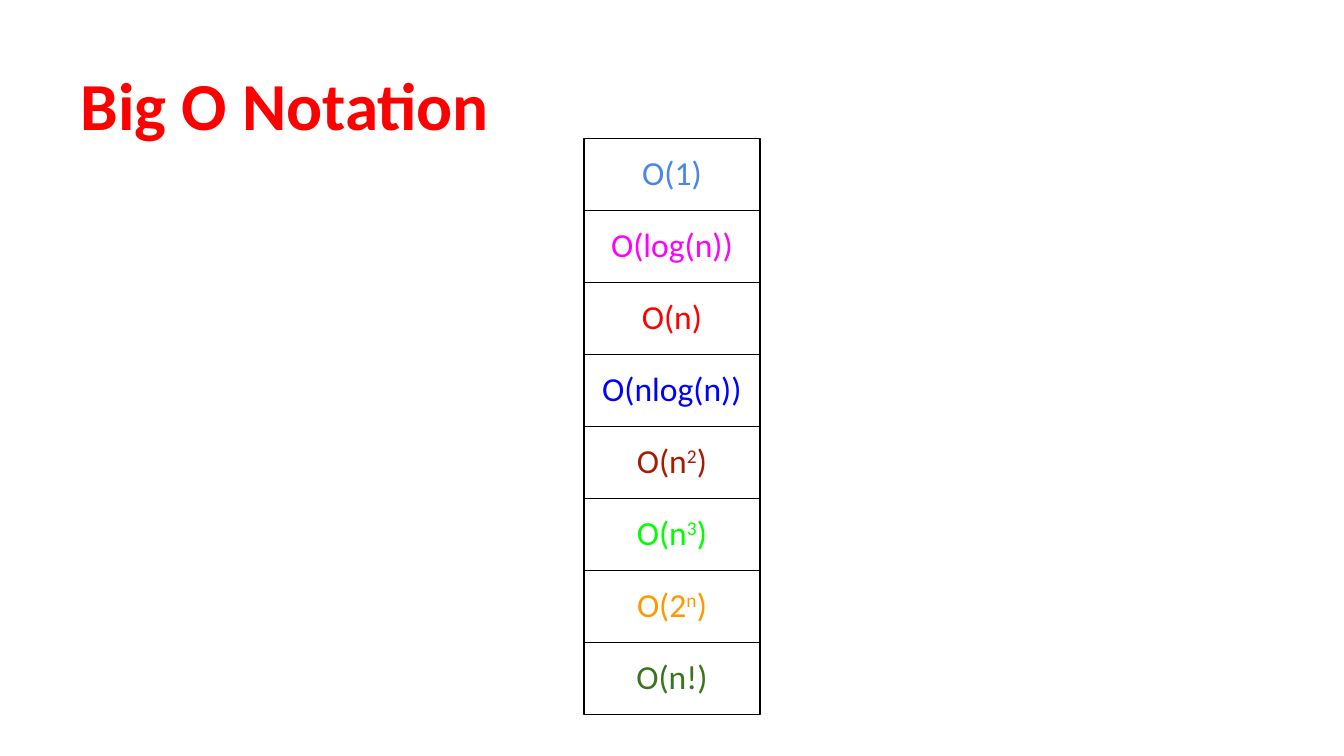
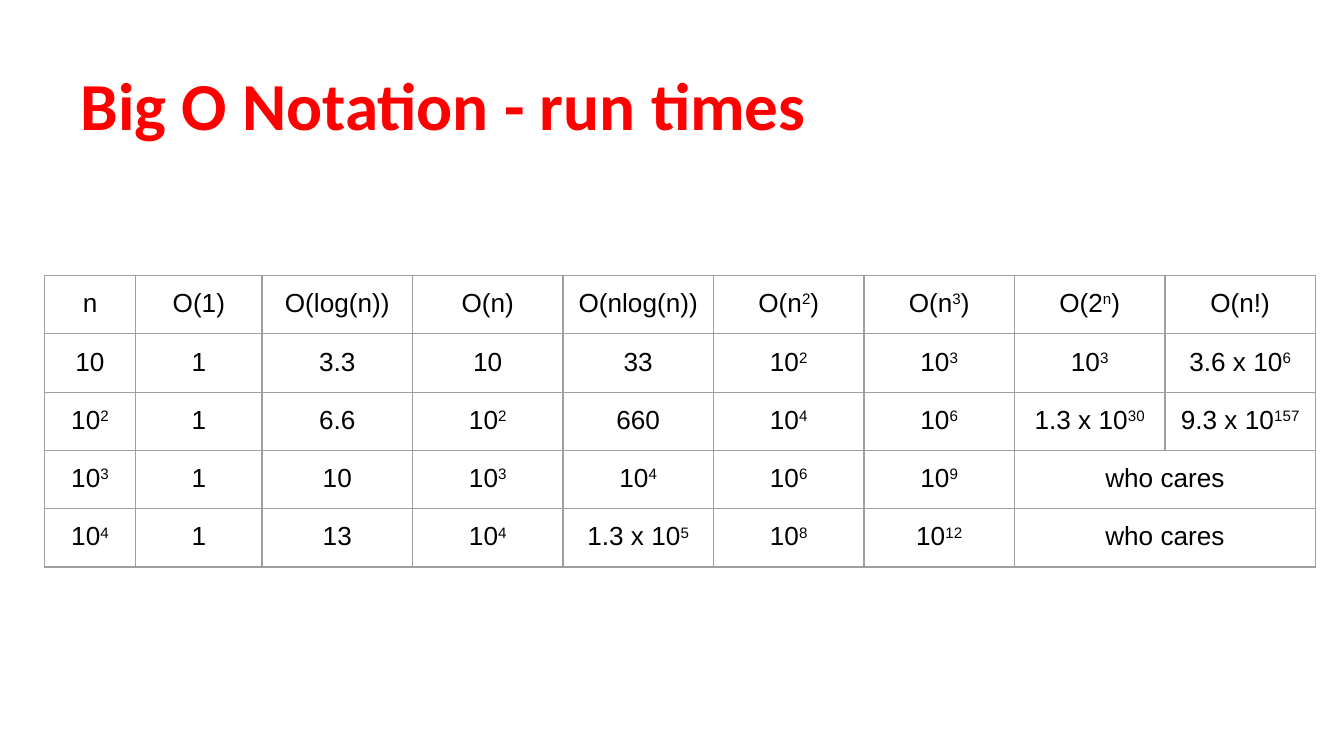
from lxml.etree import SubElement
from pptx import Presentation
from pptx.dml.color import RGBColor
from pptx.enum.shapes import MSO_SHAPE
from pptx.enum.text import MSO_ANCHOR, PP_ALIGN
from pptx.oxml.ns import qn
from pptx.util import Inches, Pt

COLORS = {
    "title": "FF0000", "text": "000000", "box line": "000000", "grid": "9E9E9E",
    "sky": "4A86E8", "magenta": "FF00FF", "red": "FF0000", "blue": "0000FF",
    "brown": "A61C00", "green": "00FF00", "orange": "FF9900", "forest": "38761D",
}

# Text between bars is superscript: "n|2|" is n squared.
COMPLEXITIES = [
    ("O(1)", "sky"), ("O(log(n))", "magenta"), ("O(n)", "red"),
    ("O(nlog(n))", "blue"), ("O(n|2|)", "brown"), ("O(n|3|)", "green"),
    ("O(2|n|)", "orange"), ("O(n!)", "forest"),
]
# A short row ends in a cell that spans the remaining columns.
RUN_TIMES = [
    ["n"] + [label for label, _ in COMPLEXITIES],
    ["10", "1", "3.3", "10", "33", "10|2|", "10|3|", "10|3|", "3.6 x 10|6|"],
    ["10|2|", "1", "6.6", "10|2|", "660", "10|4|", "10|6|", "1.3 x 10|30|", "9.3 x 10|157|"],
    ["10|3|", "1", "10", "10|3|", "10|4|", "10|6|", "10|9|", "who cares"],
    ["10|4|", "1", "13", "10|4|", "1.3 x 10|5|", "10|8|", "10|12|", "who cares"],
]

SLIDE_W = Inches(10)
SLIDE_H = SLIDE_W * 9 // 16
MARGIN = Inches(0.1)
LADDER_TOP = Inches(1.03)
STEP_W, STEP_H = Inches(1.31), Inches(0.536)
TABLE_LEFT, TABLE_TOP = Inches(0.33), Inches(2.05)
COLUMN_WIDTHS = [Inches(w) for w in [0.68, 0.94] + [1.12] * 7]
ROW_H = Inches(0.42)


def rgb(name):
    return RGBColor.from_string(COLORS[name])


def write(frame, text, font_name, size, color, align=PP_ALIGN.CENTER, bold=False):
    """Fill the first paragraph, raising the parts between bars."""
    paragraph = frame.paragraphs[0]
    paragraph.alignment = align
    font = paragraph.font
    font.name, font.size, font.bold = font_name, Pt(size), bold
    font.color.rgb = rgb(color)
    for index, part in enumerate(text.split("|")):
        if part:
            run = paragraph.add_run()
            run.text = part
            if index % 2:
                run._r.get_or_add_rPr().set("baseline", "30000")


def set_margins(holder):
    holder.margin_left = holder.margin_right = MARGIN
    holder.margin_top = holder.margin_bottom = MARGIN


def add_titled_slide(deck, title):
    slide = deck.slides.add_slide(deck.slide_layouts[6])
    frame = slide.shapes.add_textbox(
        Inches(0.5), Inches(0.23), Inches(9), Inches(0.94)).text_frame
    frame.word_wrap = True
    frame.vertical_anchor = MSO_ANCHOR.BOTTOM
    set_margins(frame)
    write(frame, title, "Calibri", 36, "title", PP_ALIGN.LEFT, bold=True)
    return slide


def add_ladder(slide):
    left = (SLIDE_W - STEP_W) // 2
    for step, (label, color) in enumerate(COMPLEXITIES):
        box = slide.shapes.add_shape(
            MSO_SHAPE.RECTANGLE, left, LADDER_TOP + step * STEP_H, STEP_W, STEP_H)
        box.shadow.inherit = False
        box.fill.background()
        box.line.color.rgb = rgb("box line")
        box.line.width = Pt(0.75)
        frame = box.text_frame
        frame.word_wrap = True
        frame.vertical_anchor = MSO_ANCHOR.TOP
        set_margins(frame)
        write(frame, label, "Calibri", 18, color)


def draw_borders(cell):
    properties = cell._tc.get_or_add_tcPr()
    for side in ("lnL", "lnR", "lnT", "lnB"):
        line = SubElement(properties, qn(f"a:{side}"), w=str(Pt(0.75)))
        fill = SubElement(line, qn("a:solidFill"))
        SubElement(fill, qn("a:srgbClr"), val=COLORS["grid"])


def add_run_times(slide):
    columns, rows = len(COLUMN_WIDTHS), len(RUN_TIMES)
    table = slide.shapes.add_table(
        rows, columns, TABLE_LEFT, TABLE_TOP, sum(COLUMN_WIDTHS), ROW_H * rows).table
    table.first_row = table.horz_banding = False
    for column, width in zip(table.columns, COLUMN_WIDTHS):
        column.width = width
    for row in table.rows:
        row.height = ROW_H
    for cell in table.iter_cells():
        set_margins(cell)
        draw_borders(cell)
        cell.fill.background()
    for r, texts in enumerate(RUN_TIMES):
        for c, text in enumerate(texts):
            write(table.cell(r, c).text_frame, text, "Arial", 14, "text")
        if len(texts) < columns:
            table.cell(r, len(texts) - 1).merge(table.cell(r, columns - 1))


def main():
    deck = Presentation()
    deck.slide_width, deck.slide_height = SLIDE_W, SLIDE_H
    add_ladder(add_titled_slide(deck, "Big O Notation"))
    add_run_times(add_titled_slide(deck, "Big O Notation - run times"))
    deck.save("out.pptx")


if __name__ == "__main__":
    main()
